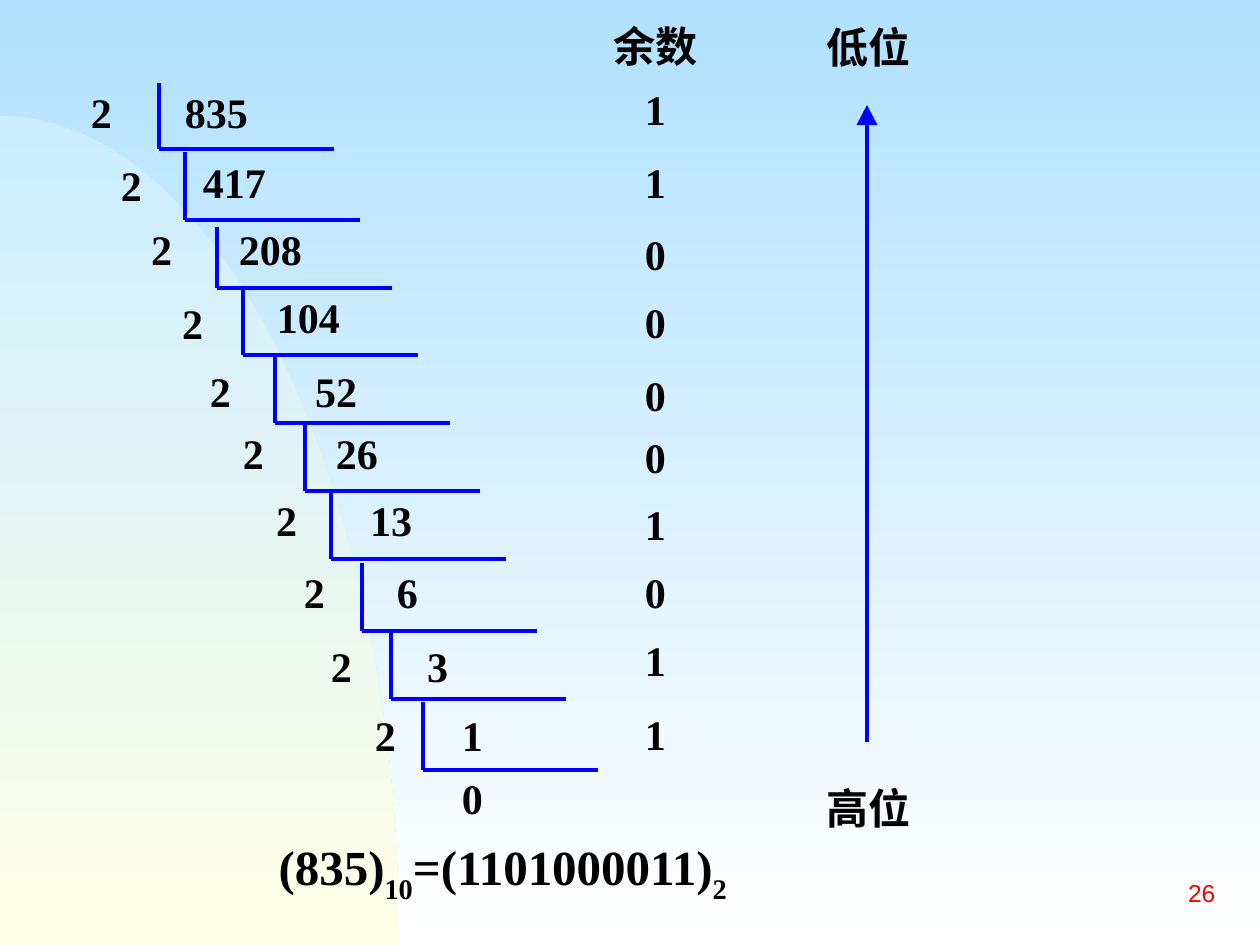
import pptx
import pptx.util
import pptx.dml.color
import pptx.enum.shapes
import pptx.enum.text
import pptx.oxml.ns
from lxml import etree

PX = 914400 // 126
WIDTH, HEIGHT = 1260, 945

THEME = {
    "sky": ("B1E1FF", "FFFFFF"), "hill": ("CCECFF", "FFFFE7"),
    "ink": "000000", "line": "0000FF", "number": "FF0000",
    "serif": "Times New Roman", "cjk": "Noto Sans CJK SC", "sans": "Arial",
    "body": 24, "result": 28, "small": 14, "stroke": 2,
}

BASE, START = 2, 835
# divisor x, y; dividend x, y; remainder y; bracket x, top, bottom
STEPS = [
    (91, 100, 185, 100, 97, 159, 83, 149),
    (121, 173, 203, 170, 170, 185, 152, 220),
    (151, 237, 239, 237, 242, 217, 227, 288),
    (182, 311, 277, 305, 310, 243, 288, 355),
    (210, 379, 315, 379, 383, 275, 355, 423),
    (243, 441, 336, 441, 445, 305, 423, 491),
    (276, 508, 370, 508, 512, 331, 491, 559),
    (304, 580, 397, 580, 580, 362, 563, 631),
    (331, 654, 427, 654, 648, 391, 631, 699),
    (375, 723, 462, 723, 722, 423, 702, 770),
]
LAST_QUOTIENT = (462, 786)
REMAINDER_X, BRACKET_WIDTH = 645, 175
DIGIT_WIDTH, CJK_WIDTH, LINE_HEIGHT = 21, 42, 35
HEADINGS = [("余数", 614, 34), ("低位", 827, 35), ("高位", 827, 796)]
ARROW_X, ARROW_TOP, ARROW_BOTTOM, HEAD_WIDTH, HEAD_HEIGHT = 867, 105, 742, 21, 20
RESULT = [("(835)", 0), ("10", -30), ("=(1101000011)", 0), ("2", -30)]
HILL = [(0, 116), (220, 116), (399, 488), (399, 945)]


def rgb(value):
    return pptx.dml.color.RGBColor.from_string(value)


def emu(*lengths):
    return [round(v * PX) for v in lengths]


def fill_downward(fill, colours):
    fill.gradient()
    fill.gradient_angle = 270
    for stop, colour in zip(fill.gradient_stops, colours):
        stop.color.rgb = rgb(colour)


def add_text(s, box, runs, font="serif", size="body", colour="ink", bold=True,
             frame=None, **paragraph):
    """Place one paragraph; runs are (text, baseline percent) pairs."""
    tf = s.shapes.add_textbox(*emu(*box)).text_frame
    settings = {"word_wrap": False, "margin_left": 0, "margin_right": 0,
                "margin_top": 0, "margin_bottom": 0,
                "auto_size": pptx.enum.text.MSO_AUTO_SIZE.SHAPE_TO_FIT_TEXT}
    for name, value in {**settings, **(frame or {})}.items():
        setattr(tf, name, value)
    p = tf.paragraphs[0]
    for name, value in {"line_spacing": 0.7, **paragraph}.items():
        setattr(p, name, value)
    for text, baseline in runs:
        r = p.add_run()
        r.text = text
        for name, value in {"name": THEME[font], "bold": bold,
                            "size": pptx.util.Pt(THEME[size])}.items():
            setattr(r.font, name, value)
        r.font.color.rgb = rgb(THEME[colour])
        rpr = r._r.get_or_add_rPr()
        if baseline:
            rpr.set("baseline", str(baseline * 1000))
        if font == "cjk":
            ea = etree.SubElement(rpr, pptx.oxml.ns.qn("a:ea"))
            ea.set("typeface", THEME[font])


def add_label(s, text, x, y, font="serif"):
    advance = CJK_WIDTH if font == "cjk" else DIGIT_WIDTH
    add_text(s, (x, y, advance * len(text), LINE_HEIGHT), [(text, 0)], font)


def add_line(s, *ends):
    line = s.shapes.add_connector(pptx.enum.shapes.MSO_CONNECTOR.STRAIGHT, *emu(*ends))
    line.line.color.rgb = rgb(THEME["line"])
    line.line.width = pptx.util.Pt(THEME["stroke"])
    etree.SubElement(line._element.spPr, pptx.oxml.ns.qn("a:effectLst"))


def add_hill(s, steps=48):
    """Approximate the cubic curve with short straight segments."""
    points = []
    for i in range(steps + 1):
        t = i / steps
        weights = ((1 - t) ** 3, 3 * t * (1 - t) ** 2, 3 * t * t * (1 - t), t ** 3)
        points.append(emu(*(sum(w * c for w, c in zip(weights, axis))
                            for axis in zip(*HILL))))
    builder = s.shapes.build_freeform(*points[0])
    builder.add_line_segments(points[1:] + [emu(0, HEIGHT)], close=True)
    hill = builder.convert_to_shape()
    hill.shadow.inherit = False
    hill.line.fill.background()
    fill_downward(hill.fill, THEME["hill"])


def add_division(s):
    quotient = START
    for div_x, div_y, num_x, num_y, rem_y, x, top, bottom in STEPS:
        add_line(s, x, top, x, bottom)
        add_line(s, x, bottom, x + BRACKET_WIDTH, bottom)
        add_label(s, str(BASE), div_x, div_y)
        add_label(s, str(quotient), num_x, num_y)
        quotient, remainder = divmod(quotient, BASE)
        add_label(s, str(remainder), REMAINDER_X, rem_y)
    add_label(s, str(quotient), *LAST_QUOTIENT)


def add_reading_arrow(s):
    add_line(s, ARROW_X, ARROW_BOTTOM, ARROW_X, ARROW_TOP + HEAD_HEIGHT)
    head = s.shapes.add_shape(
        pptx.enum.shapes.MSO_SHAPE.ISOSCELES_TRIANGLE,
        *emu(ARROW_X - HEAD_WIDTH / 2, ARROW_TOP, HEAD_WIDTH, HEAD_HEIGHT))
    head.shadow.inherit = False
    head.fill.solid()
    head.fill.fore_color.rgb = rgb(THEME["line"])
    head.line.fill.background()


def main():
    prs = pptx.Presentation()
    prs.slide_width, prs.slide_height = emu(WIDTH, HEIGHT)
    s = prs.slides.add_slide(prs.slide_layouts[6])
    fill_downward(s.background.fill, THEME["sky"])
    add_hill(s)
    add_division(s)
    add_reading_arrow(s)
    for text, x, y in HEADINGS:
        add_label(s, text, x, y, "cjk")

    side, edge = emu(12.6, 6.3)
    padding = {"margin_left": side, "margin_right": side,
               "margin_top": edge, "margin_bottom": edge}
    add_text(s, (266, 840, 716, 62), RESULT, size="result",
             frame={**padding, "word_wrap": True})
    add_text(s, (966, 861, 262, 63), [("26", 0)], "sans", "small", "number", False,
             frame={**padding, "auto_size": pptx.enum.text.MSO_AUTO_SIZE.NONE,
                    "vertical_anchor": pptx.enum.text.MSO_ANCHOR.MIDDLE},
             alignment=pptx.enum.text.PP_ALIGN.RIGHT, line_spacing=1.0)
    prs.save("out.pptx")


if __name__ == "__main__":
    main()
